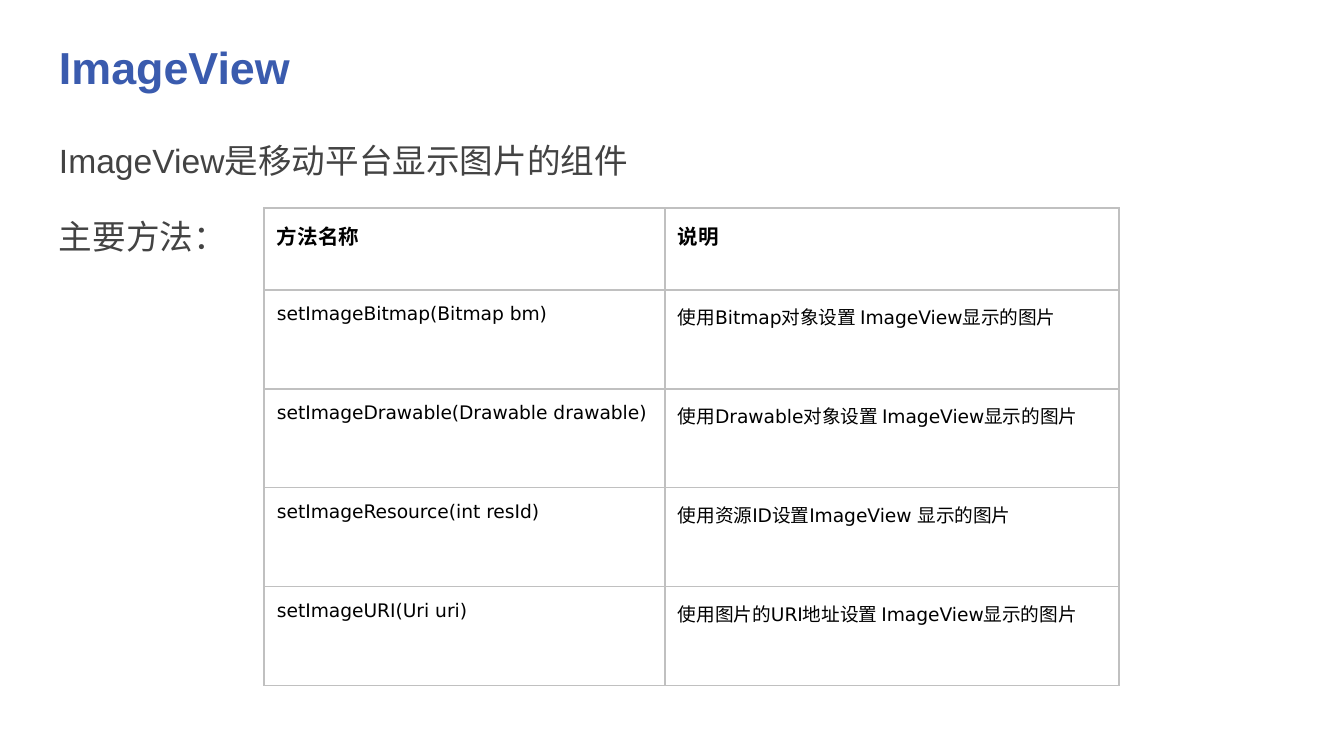
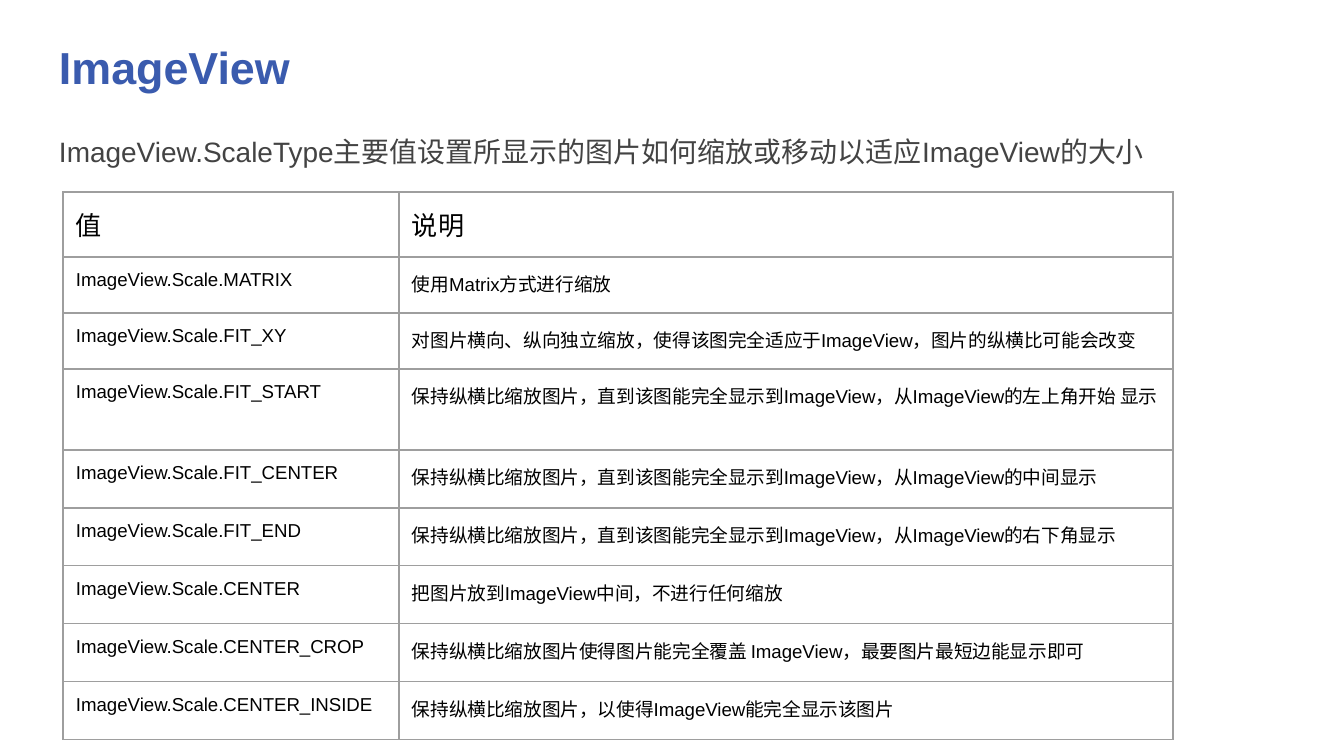
from lxml import etree
from pptx import Presentation
from pptx.dml.color import RGBColor
from pptx.enum.text import MSO_ANCHOR, MSO_AUTO_SIZE, PP_ALIGN
from pptx.oxml.ns import qn
from pptx.util import Emu, Pt

MIDDLE = MSO_ANCHOR.MIDDLE
TOP = MSO_ANCHOR.TOP
NO_AUTOFIT = MSO_AUTO_SIZE.NONE
LEFT = PP_ALIGN.LEFT

EMU_PER_PX = 914400 / 134.4
SLIDE_WIDTH, SLIDE_HEIGHT = 1344, 756
INSET = 13
TITLE_ONLY = 5
COLORS = {
    "title": "3A5BAE",
    "body": "434343",
    "cell": "000000",
    "white": "FFFFFF",
    "method_border": "C0C0C0",
    "scale_border": "9E9E9E",
}
SANS, CODE, CHINESE = "Arial", "DejaVu Sans", "Noto Sans CJK SC"

METHODS = [
    ("方法名称", "说明"),
    ("setImageBitmap(Bitmap bm)", "使用Bitmap对象设置 ImageView显示的图片"),
    ("setImageDrawable(Drawable drawable)", "使用Drawable对象设置 ImageView显示的图片"),
    ("setImageResource(int resId)", "使用资源ID设置ImageView 显示的图片"),
    ("setImageURI(Uri uri)", "使用图片的URI地址设置 ImageView显示的图片"),
]
SCALE_TYPES = [
    ("值", "说明"),
    ("ImageView.Scale.MATRIX", "使用Matrix方式进行缩放"),
    ("ImageView.Scale.FIT_XY", "对图片横向、纵向独立缩放，使得该图完全适应于ImageView，图片的纵横比可能会改变"),
    ("ImageView.Scale.FIT_START", "保持纵横比缩放图片，直到该图能完全显示到ImageView，从ImageView的左上角开始 显示"),
    ("ImageView.Scale.FIT_CENTER", "保持纵横比缩放图片，直到该图能完全显示到ImageView，从ImageView的中间显示"),
    ("ImageView.Scale.FIT_END", "保持纵横比缩放图片，直到该图能完全显示到ImageView，从ImageView的右下角显示"),
    ("ImageView.Scale.CENTER", "把图片放到ImageView中间，不进行任何缩放"),
    ("ImageView.Scale.CENTER_CROP", "保持纵横比缩放图片使得图片能完全覆盖 ImageView，最要图片最短边能显示即可"),
    ("ImageView.Scale.CENTER_INSIDE", "保持纵横比缩放图片，以使得ImageView能完全显示该图片"),
]


def px(length):
    return Emu(round(length * EMU_PER_PX))


def set_insets(holder):
    """Give a text frame or a table cell the shared inner margins."""
    holder.margin_left = holder.margin_right = px(INSET)
    holder.margin_top = holder.margin_bottom = px(INSET)


def format_paragraph(paragraph, size, color, font_name=SANS, bold=False):
    paragraph.alignment = LEFT
    for run in paragraph.runs:
        font = run.font
        font.size = Pt(size)
        font.bold = bold
        font.color.rgb = RGBColor.from_string(COLORS[color])
        font.name = font_name
        east_asian = etree.SubElement(run._r.get_or_add_rPr(), qn("a:ea"))
        east_asian.set("typeface", CHINESE)


def format_frame(text_frame, anchor):
    set_insets(text_frame)
    text_frame.word_wrap = True
    text_frame.auto_size = NO_AUTOFIT
    text_frame.vertical_anchor = anchor


def add_titled_slide(presentation, title_text):
    slide = presentation.slides.add_slide(presentation.slide_layouts[TITLE_ONLY])
    title = slide.shapes.title
    title.left, title.top, title.width, title.height = map(px, (46, 24, 1253, 85))
    title.text_frame.text = title_text
    format_frame(title.text_frame, MIDDLE)
    format_paragraph(title.text_frame.paragraphs[0], 24, "title", bold=True)
    return slide


def add_body(slide, box, lines, size):
    text_box = slide.shapes.add_textbox(*map(px, box))
    text_frame = text_box.text_frame
    text_frame.text = "\n".join(lines)
    format_frame(text_frame, TOP)
    for index, paragraph in enumerate(text_frame.paragraphs):
        paragraph.line_spacing = 1.15
        if index:
            paragraph.space_before = Pt(16)
        format_paragraph(paragraph, size, "body")


def set_borders(cell, color):
    properties = cell._tc.get_or_add_tcPr()
    for position, side in enumerate(("lnL", "lnR", "lnT", "lnB")):
        line = etree.Element(qn(f"a:{side}"), w=str(Pt(0.75)))
        fill = etree.SubElement(line, qn("a:solidFill"))
        etree.SubElement(fill, qn("a:srgbClr"), val=COLORS[color])
        properties.insert(position, line)


def add_grid(slide, origin, column_widths, row_heights, rows, border,
             header_size, header_bold=False, font_name=SANS):
    frame = slide.shapes.add_table(
        len(rows), len(column_widths), *map(px, origin),
        px(sum(column_widths)), px(sum(row_heights)))
    table = frame.table
    table.first_row = table.horz_banding = False
    for column, width in zip(table.columns, column_widths):
        column.width = px(width)
    for row, height in zip(table.rows, row_heights):
        row.height = px(height)
    for row_index, values in enumerate(rows):
        is_header = row_index == 0
        for column_index, value in enumerate(values):
            cell = table.cell(row_index, column_index)
            cell.text_frame.text = value
            set_insets(cell)
            cell.vertical_anchor = TOP
            cell.fill.solid()
            cell.fill.fore_color.rgb = RGBColor.from_string(COLORS["white"])
            set_borders(cell, border)
            format_paragraph(
                cell.text_frame.paragraphs[0],
                header_size if is_header else 10, "cell",
                SANS if is_header else font_name,
                is_header and header_bold)


def add_methods_slide(presentation):
    slide = add_titled_slide(presentation, "ImageView")
    add_body(slide, (46, 121, 626, 163),
             ["ImageView是移动平台显示图片的组件", "主要方法："], 18)
    add_grid(slide, (264, 208), (401, 454), [82] + [99] * 4, METHODS,
             "method_border", 11, header_bold=True, font_name=CODE)


def add_scale_types_slide(presentation):
    slide = add_titled_slide(presentation, "ImageView")
    add_body(slide, (46, 117, 1189, 67),
             ["ImageView.ScaleType主要值设置所显示的图片如何缩放或移动以适应ImageView的大小"], 15)
    add_grid(slide, (63, 192), (336, 774), [65, 56, 56, 81] + [58] * 5,
             SCALE_TYPES, "scale_border", 14)


def main():
    presentation = Presentation()
    presentation.slide_width = px(SLIDE_WIDTH)
    presentation.slide_height = px(SLIDE_HEIGHT)
    add_methods_slide(presentation)
    add_scale_types_slide(presentation)
    presentation.save("out.pptx")


if __name__ == "__main__":
    main()
